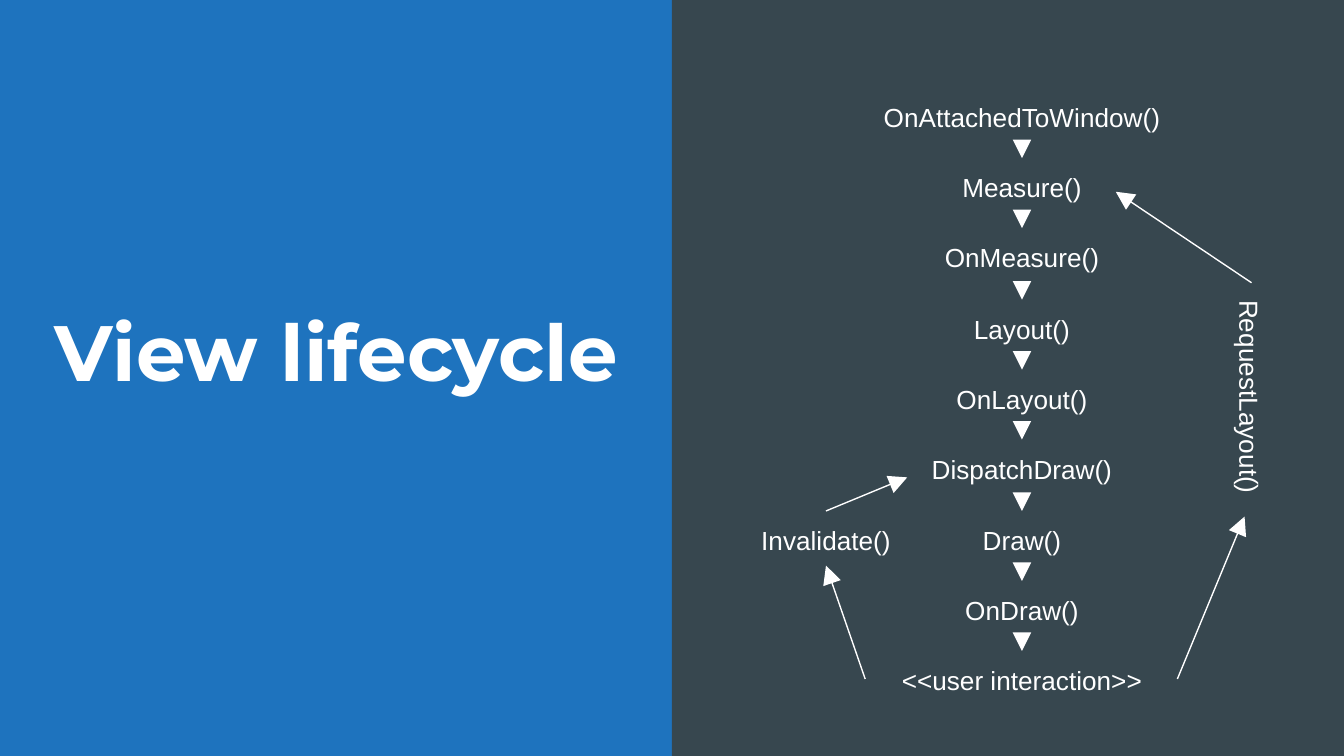
from lxml.etree import SubElement as Sub
from pptx import Presentation
from pptx.dml.color import RGBColor as Rgb
from pptx.enum.shapes import MSO_CONNECTOR as Conn, MSO_SHAPE as Kind
from pptx.enum.text import MSO_ANCHOR as Anchor, MSO_AUTO_SIZE as Fit, PP_ALIGN as Align
from pptx.oxml.ns import qn
from pptx.util import Emu, Pt

SCALE = 9525  # EMU per px, 96 px to the inch
WIDTH, HEIGHT = 960, 540
HUES = {"blue": "1E73BE", "slate": "37474F", "white": "FFFFFF"}

STEPS = [
    "OnAttachedToWindow()", "Measure()", "OnMeasure()", "Layout()", "OnLayout()",
    "DispatchDraw()", "Draw()", "OnDraw()", "<<user interaction>>",
]
BOX_W, BOX_H = 224, 39
LEFT, TOP, SPAN = 618, 63, 402
MID = LEFT + BOX_W // 2
TOPS = [TOP + round(SPAN * i / (len(STEPS) - 1)) for i in range(len(STEPS))]

# Arrows of the two side loops: x1, y1, x2, y2
LOOPS = [
    (618, 485, 590, 404),
    (590, 365, 648, 341),
    (841, 485, 889, 369),
    (894, 202, 797, 137),
]


def px(*vals):
    return [Emu(v * SCALE) for v in vals]


def hue(name):
    return Rgb.from_string(HUES[name])


def write(shape, text, font, size, bold=False):
    frame = shape.text_frame
    frame.word_wrap = True
    frame.auto_size = Fit.NONE
    frame.margin_left = frame.margin_right = Pt(7.2)
    frame.margin_top = frame.margin_bottom = Pt(7.2)
    para = frame.paragraphs[0]
    para.alignment = Align.CENTER
    run = para.add_run()
    run.text = text
    run.font.name = font
    run.font.size = Pt(size)
    run.font.bold = bold
    run.font.color.rgb = hue("white")


def add_title(slide, text):
    title = slide.shapes.title
    title.left, title.top, title.width, title.height = px(28, 113, 424, 180)
    write(title, text, "Montserrat", 42, True)
    title.text_frame.vertical_anchor = Anchor.BOTTOM


def add_panel(slide):
    half = WIDTH // 2
    panel = slide.shapes.add_shape(Kind.RECTANGLE, *px(half, 0, half, HEIGHT))
    panel.shadow.inherit = False
    panel.fill.solid()
    panel.fill.fore_color.rgb = hue("slate")
    panel.line.fill.background()


def add_label(slide, text, left, top, turn=0):
    box = slide.shapes.add_textbox(*px(left, top, BOX_W, BOX_H))
    box.rotation = turn
    write(box, text, "Arial", 14)


def add_arrow(slide, *ends):
    arrow = slide.shapes.add_connector(Conn.STRAIGHT, *px(*ends))
    arrow.line.color.rgb = hue("white")
    arrow.line.width = Pt(0.75)
    Sub(arrow.line._get_or_add_ln(), qn("a:tailEnd"), type="triangle", w="lg", len="lg")
    Sub(arrow._element.spPr, qn("a:effectLst"))


def main():
    deck = Presentation()
    deck.slide_width, deck.slide_height = px(WIDTH, HEIGHT)
    slide = deck.slides.add_slide(deck.slide_layouts[5])
    slide.background.fill.solid()
    slide.background.fill.fore_color.rgb = hue("blue")

    add_panel(slide)
    add_title(slide, "View lifecycle")
    for step, top in zip(STEPS, TOPS):
        add_label(slide, step, LEFT, top)
    for top, below in zip(TOPS, TOPS[1:]):
        add_arrow(slide, MID, top + BOX_H, MID, below)
    add_label(slide, "Invalidate()", 478, TOPS[STEPS.index("Draw()")])
    add_label(slide, "RequestLayout()", 782, TOPS[STEPS.index("OnLayout()")], 90)
    for ends in LOOPS:
        add_arrow(slide, *ends)
    deck.save("out.pptx")


if __name__ == "__main__":
    main()
